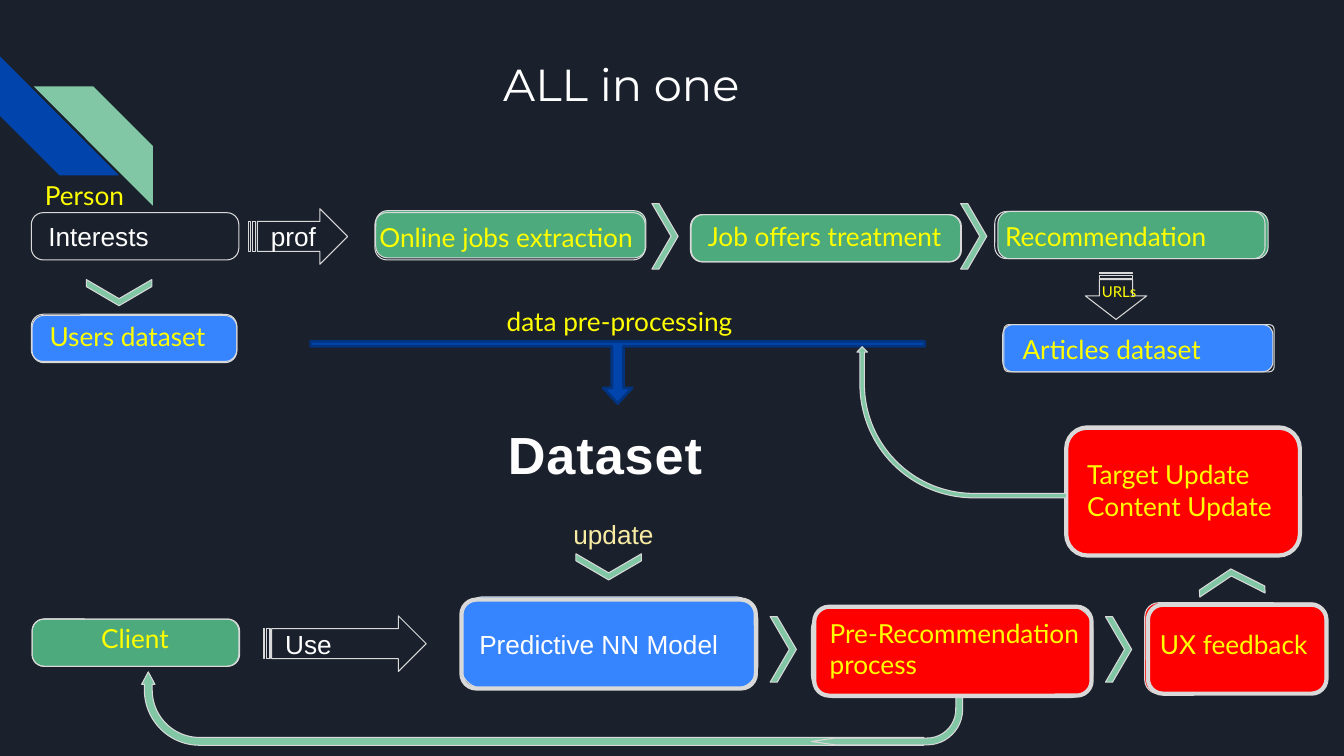
"""Build the "ALL in one" job recommendation flow slide."""
from dataclasses import dataclass

from lxml.etree import SubElement
from pptx import Presentation
from pptx.dml.color import RGBColor
from pptx.enum.shapes import MSO_SHAPE as Geometry
from pptx.enum.text import MSO_ANCHOR as Anchor, MSO_AUTO_SIZE as AutoSize, PP_ALIGN as Align
from pptx.oxml.ns import qn
from pptx.util import Cm, Pt


@dataclass(frozen=True)
class Theme:
    """Colours, fonts and type sizes of the slide."""
    ground: str = "1B212C"
    blue: str = "0145AC"
    navy: str = "01337F"
    sky: str = "3685FE"
    mint: str = "82C7A5"
    green: str = "4CAA7C"
    red: str = "FF0000"
    grey: str = "D9D9D9"
    white: str = "FFFFFF"
    pearl: str = "FEFEFE"
    yellow: str = "FFFF00"
    cream: str = "F8EBA3"
    heading: str = "Montserrat"
    label: str = "Lato"
    plain: str = "Arial"
    title_size: float = 32
    dataset_size: float = 37.3
    body_size: float = 18.7
    small_size: float = 10.7
    thin: float = 0.75
    bold_line: float = 3


theme = Theme()
ROOMY, SNUG = (0.34, 0.34), (0.25, 0.13)
STEP = (6.81, 1.19)
CHEVRON = (0.66, 1.65)

TITLE = ("ALL in one", (12.34, 1.09, 21.5, 3.38))

STRIPES = [((0, 1.42, 3, 3), 270, theme.blue), ((0.85, 2.18, 3, 3), 90, theme.mint)]

PANELS = [
    ((28.85, 15.19, 4.55, 2.29), 0.151, theme.red),
    ((20.45, 15.29, 7.09, 2.29), 0.252, theme.red),
    ((11.61, 15.04, 7.49, 2.31), 0.252, theme.sky),
    ((25.27, 8.18, *STEP), 0.216, theme.sky),
    ((0.81, 7.95, 5.16, 1.19), 0.252, theme.sky),
    ((0.81, 15.6, 5.21, 1.19), 0.252, theme.green),
    ((25.15, 5.33, *STEP), 0.252, theme.green),
    ((26.87, 10.82, 5.89, 3.18), 0.163, theme.red),
    ((17.42, 5.41, *STEP), 0.252, theme.green),
    ((9.47, 5.31, *STEP), 0.252, theme.green),
]

FRAMES = [
    ((0.79, 5.36, 5.23, 1.19), 0.252, theme.thin, "Interests"),
    ((9.45, 5.36, *STEP), 0.252, theme.thin, ""),
    ((17.4, 5.41, *STEP), 0.252, theme.thin, ""),
    ((25.07, 5.33, *STEP), 0.252, theme.thin, ""),
    ((0.79, 7.92, 5.18, 1.19), 0.252, theme.thin, ""),
    ((25.3, 8.18, *STEP), 0.1, theme.thin, ""),
    ((0.81, 15.6, 5.23, 1.19), 0.252, theme.thin, ""),
    ((11.63, 15.11, 7.42, 2.24), 0.167, theme.bold_line, "Predictive NN Model"),
    ((26.87, 10.77, 5.89, 3.23), 0.167, theme.bold_line, ""),
    ((28.93, 15.24, 4.5, 2.24), 0.167, theme.bold_line, ""),
    ((20.52, 15.29, 6.99, 2.24), 0.167, theme.bold_line, ""),
]

STRIPED_ARROWS = [
    ((6.27, 5.26, 2.49, 1.4), 0, "prof"),
    ((6.63, 15.52, 4.11, 1.4), 0, "Use"),
    ((27.53, 6.68, 1.19, 1.55), 90, ""),
]

CHEVRONS = [
    (16.43, 5.13, 0), (24.21, 5.13, 0), (2.67, 6.55, 90), (15.01, 13.46, 90),
    (19.41, 15.54, 0), (27.86, 15.54, 0), (30.71, 13.84, 266.4),
]

PREPROCESSING_BAR = ((14.78, 1.65, 1.57, 15.47), (0.185, 0.231, 0.25, 0.082))

BENT_ARROWS = [
    ((22.33, 8, 3.81, 5.28), 270, (0.03, 0.035, 0.036, 0.753)),
    ((12.5, 8, 1.85, 19.71), 270, (0.107, 0.091, 0.169, 0.753)),
    ((20.45, 17.58, 3.81, 1.19), 180, (0.147, 0.073, 0.5, 0.753)),
]

LABELS = [
    (["Person"], (0.79, 4.19, 2.77, 1.85), ROOMY),
    (["Online jobs extraction"], (9.22, 5.23, 7.85, 1.85), ROOMY),
    (["Job offers treatment"], (17.5, 5.21, 7.85, 1.85), ROOMY),
    (["Recommendation"], (24.99, 5.21, 7.85, 1.85), ROOMY),
    (["Users dataset"], (0.91, 7.72, 7.85, 1.85), ROOMY),
    (["Articles dataset"], (25.43, 8.05, 7.85, 1.85), ROOMY),
    (["data pre-processing"], (12.52, 7.57, 6.4, 1.07), SNUG),
    (["Target Update", "Content Update"], (27.15, 11.43, 6.6, 1.85), SNUG),
    (["Client"], (2.21, 15.34, 3.05, 1.85), ROOMY),
    (["Pre-Recommendation process"], (20.57, 15.21, 7.37, 1.85), ROOMY),
    (["UX feedback"], (28.98, 15.7, 4.85, 1.07), SNUG),
]
URLS = (["URLs"], (27.43, 6.78, 6.4, 1.85), ROOMY)
UPDATE = (["update"], (14.2, 12.93, 2.54, 1.07), SNUG)
DATASET = (["Dataset"], (12.24, 10.46, 6.02, 1.93), (0.34, 0.17))


def rgb(colour):
    """Turn a hex colour into an RGBColor."""
    return RGBColor.from_string(colour)


def write(holder, lines, font, size, colour, insets=ROOMY, anchor=Anchor.TOP, align=Align.LEFT):
    """Fill a text frame line by line and return its last run."""
    frame = holder.text_frame
    frame.word_wrap = True
    frame.auto_size = AutoSize.NONE
    frame.vertical_anchor = anchor
    frame.margin_left = frame.margin_right = Cm(insets[0])
    frame.margin_top = frame.margin_bottom = Cm(insets[1])
    for index, line in enumerate(lines):
        paragraph = frame.add_paragraph() if index else frame.paragraphs[0]
        paragraph.alignment = align
        run = paragraph.add_run()
        run.text = line
        run.font.name = font
        run.font.size = Pt(size)
        run.font.color.rgb = rgb(colour)
    return run


def draw(slide, geometry, box, adjustments, fill=None, line=theme.grey, weight=theme.thin,
         turn=0, caption=""):
    """Add a preset shape with optional fill, line, rotation and caption."""
    part = slide.shapes.add_shape(geometry, *map(Cm, box))
    part.shadow.inherit = False
    part.rotation = turn
    for index, value in enumerate(adjustments):
        part.adjustments[index] = value
    if fill:
        part.fill.solid()
        part.fill.fore_color.rgb = rgb(fill)
    else:
        part.fill.background()
    if line:
        part.line.color.rgb = rgb(line)
        part.line.width = Pt(weight)
    else:
        part.line.fill.background()
    if caption:
        write(part, [caption], theme.plain, theme.body_size, theme.white, anchor=Anchor.MIDDLE)


def label(slide, lines, box, insets, font=theme.label, size=theme.body_size,
          colour=theme.yellow, align=Align.LEFT):
    """Add a free label and return its last run."""
    return write(slide.shapes.add_textbox(*map(Cm, box)), lines, font, size, colour, insets,
                 align=align)


def outline(run, colour, weight):
    """Give the letters of a run a coloured edge and slight spacing."""
    properties = run.font._element
    properties.set("spc", "70")
    edge = SubElement(properties, qn("a:ln"), w=str(Pt(weight)))
    SubElement(SubElement(edge, qn("a:solidFill")), qn("a:srgbClr"), val=colour)
    properties.insert(0, edge)


def main():
    """Compose the slide and save it."""
    deck = Presentation()
    deck.slide_width, deck.slide_height = Cm(33.87), Cm(19.05)
    slide = deck.slides.add_slide(deck.slide_layouts[5])
    slide.background.fill.solid()
    slide.background.fill.fore_color.rgb = rgb(theme.ground)

    for box, turn, colour in STRIPES:
        draw(slide, Geometry.DIAGONAL_STRIPE, box, [0.5], colour, None, turn=turn)
    heading, heading_box = TITLE
    title = slide.shapes.title
    title.left, title.top, title.width, title.height = map(Cm, heading_box)
    write(title, [heading], theme.heading, theme.title_size, theme.white)

    for box, corner, colour in PANELS:
        draw(slide, Geometry.ROUNDED_RECTANGLE, box, [corner], colour)
    for box, corner, weight, caption in FRAMES:
        draw(slide, Geometry.ROUNDED_RECTANGLE, box, [corner], weight=weight, caption=caption)
    for box, turn, caption in STRIPED_ARROWS:
        draw(slide, Geometry.STRIPED_RIGHT_ARROW, box, [0.54, 0.5], turn=turn, caption=caption)
    for left, top, turn in CHEVRONS:
        draw(slide, Geometry.CHEVRON, (left, top, *CHEVRON), [0.729], theme.mint, turn=turn)
    bar_box, bar_adjustments = PREPROCESSING_BAR
    draw(slide, Geometry.RIGHT_ARROW_CALLOUT, bar_box, bar_adjustments, theme.blue, theme.navy, 2, 90)
    for box, turn, adjustments in BENT_ARROWS:
        draw(slide, Geometry.BENT_ARROW, box, adjustments, theme.mint, turn=turn)

    for lines, box, insets in LABELS:
        label(slide, lines, box, insets)
    label(slide, *URLS, size=theme.small_size)
    label(slide, *UPDATE, font=theme.plain, colour=theme.cream)
    dataset = label(slide, *DATASET, font=theme.plain, size=theme.dataset_size,
                    colour=theme.pearl, align=Align.CENTER)
    dataset.font.bold = True
    outline(dataset, theme.blue, theme.thin)
    deck.save("out.pptx")


if __name__ == "__main__":
    main()
